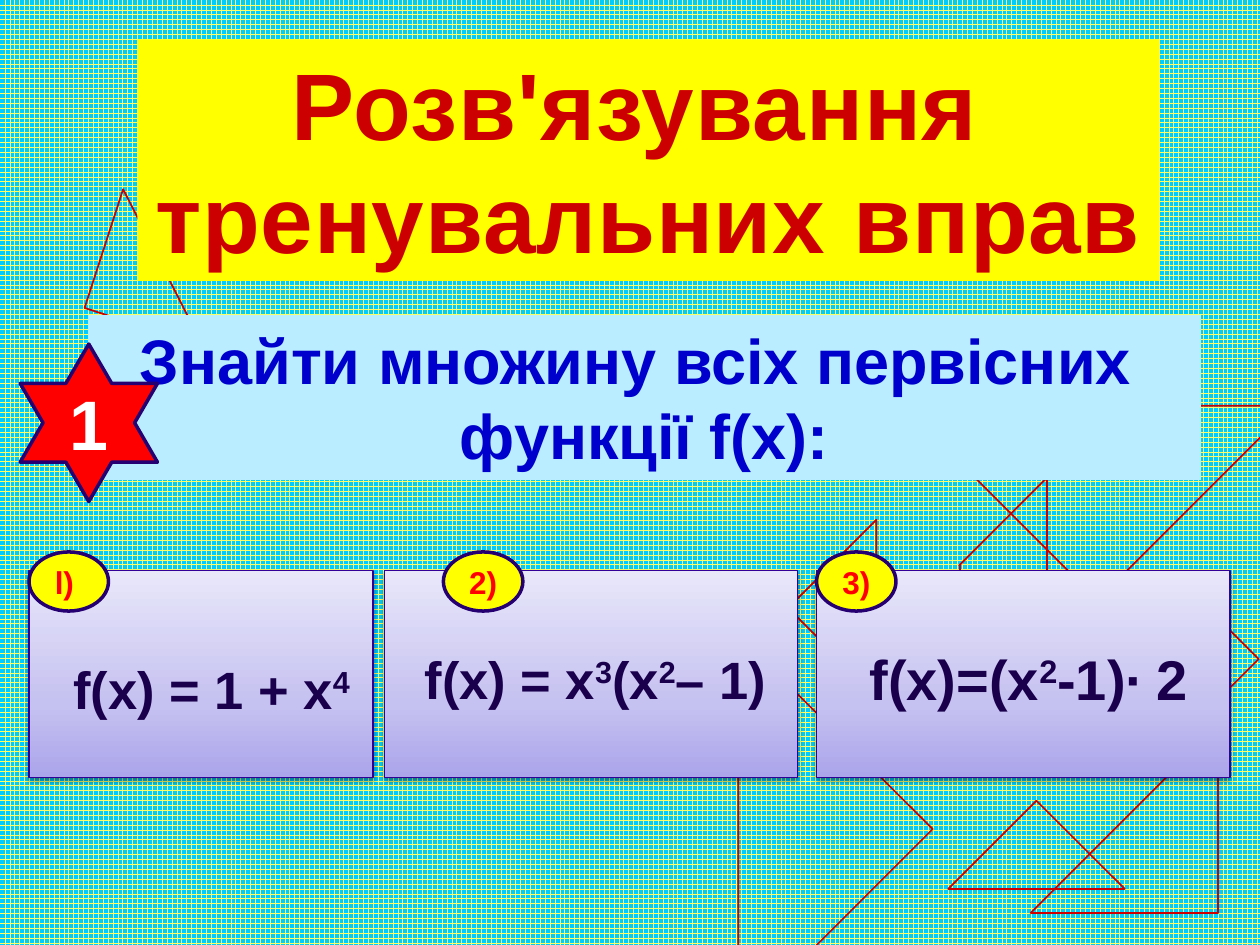
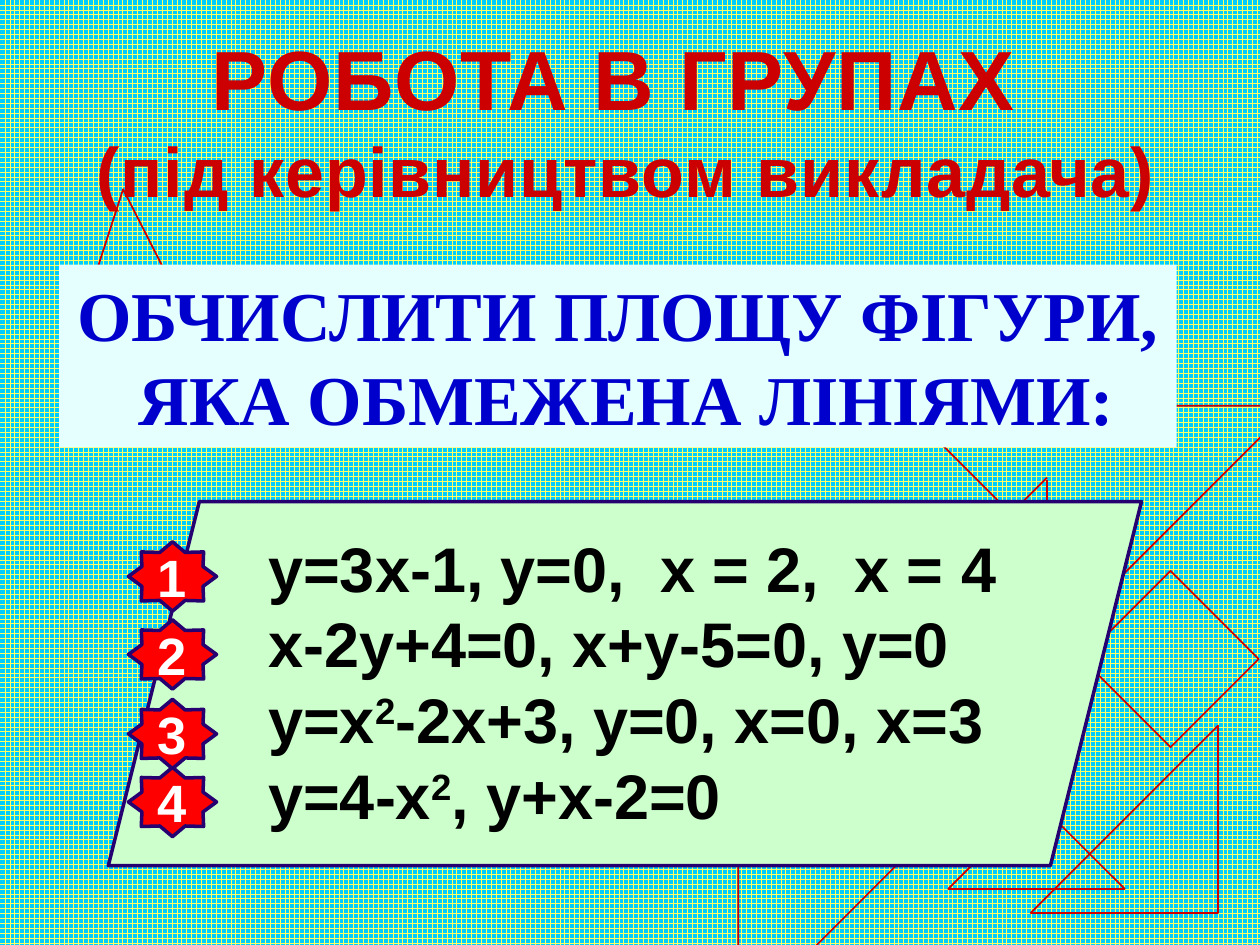
from copy import deepcopy

from lxml import etree
from pptx import Presentation
from pptx import util as u
from pptx.dml import color
from pptx.enum import dml, shapes, text
from pptx.oxml import ns

Pt = u.Pt
Kind = shapes.MSO_SHAPE
RED, NAVY, BLUE, INK = "CC0000", "260071", "0000CC", "1A004C"
MID, TOP = text.MSO_ANCHOR.MIDDLE, text.MSO_ANCHOR.TOP
LEFT, CENTER = text.PP_ALIGN.LEFT, text.PP_ALIGN.CENTER


def rgb(code):
    return color.RGBColor.from_string(code)


def add(slide, kind, box, fill=None, line=None, width=2, rows=(), ink=RED, sizes=(36,),
        face="Arial", anchor=MID, align=CENTER, wrap=True, spc=0):
    """Add a shape, or a text box if kind is None; ^ raises the next character."""
    box = [Pt(v) for v in box]
    if kind is None:
        item = slide.shapes.add_textbox(*box)
    else:
        item = slide.shapes.add_shape(kind, *box)
        item.shadow.inherit = False
        if fill:
            item.fill.solid()
            item.fill.fore_color.rgb = rgb(fill)
        else:
            item.fill.background()
        if line:
            item.line.color.rgb = rgb(line)
            item.line.width = Pt(width)
        else:
            item.line.fill.background()
    frame = item.text_frame
    frame.word_wrap, frame.vertical_anchor = wrap, anchor
    for i, row in enumerate(rows):
        para = frame.paragraphs[0] if i == 0 else frame.add_paragraph()
        para.alignment = align
        head, *rest = row.split("^")
        bits = [(head, False)]
        for bit in rest:
            bits += [(bit[0], True), (bit[1:], False)]
        look = {"name": face, "size": Pt(sizes[min(i, len(sizes) - 1)]), "bold": True}
        for words, high in bits:
            if not words:
                continue
            run = para.add_run()
            run.text = words
            for key, val in look.items():
                setattr(run.font, key, val)
            run.font.color.rgb = rgb(ink)
            props = run._r.get_or_add_rPr()
            if high:
                props.set("baseline", "30000")
            if spc:
                props.set("spc", str(spc))
    return item


prs = Presentation()
prs.slide_width, prs.slide_height = Pt(720), Pt(540)

# Shared background: grid pattern and geometric outlines
outlines = [  # kind, left, top, side, turn
    (Kind.RIGHT_TRIANGLE, 57.6, 117.4, 71.3, 18),
    (Kind.RIGHT_TRIANGLE, 556.6, 472.3, 71.3, 135),
    (Kind.RIGHT_TRIANGLE, 589, 414.7, 107, 270),
    (Kind.DIAMOND, 618.5, 326.2, 100.8, 0),
    (Kind.RIGHT_TRIANGLE, 343.4, 395.3, 157, 225),
    (Kind.RIGHT_TRIANGLE, 465.1, 311.8, 71.3, 45),
    (Kind.RIGHT_TRIANGLE, 548.6, 153.4, 157, 315),
]
edges = [
    (598.3, 274.3, 598.3, 372.2),
    (548.6, 322.6, 548.6, 422.6),
    (548.6, 421.9, 598.3, 372.2),
    (547.9, 323.3, 598.3, 272.9),
]
for _ in range(2):
    slide = prs.slides.add_slide(prs.slide_layouts[6])
    back = slide.background.fill
    back.patterned()
    back.pattern = dml.MSO_PATTERN.LARGE_GRID
    back.fore_color.rgb, back.back_color.rgb = rgb("FFFF66"), rgb("00CCFF")
    for kind, left, top, side, turn in outlines:
        add(slide, kind, (left, top, side, side), line=RED, width=1).rotation = turn
    for edge in edges:
        rod = slide.shapes.add_connector(shapes.MSO_CONNECTOR.STRAIGHT, *[Pt(v) for v in edge])
        rod.line.color.rgb, rod.line.width = rgb(RED), Pt(1)
        etree.SubElement(rod.element.spPr, ns.qn("a:effectLst"))
drill, group = prs.slides

# Slide 1: training exercises
add(drill, Kind.RECTANGLE, (78.5, 22.5, 584, 138), "FFFF00", anchor=TOP, wrap=False, spc=50,
    sizes=(54,), rows=("Розв'язування ", "тренувальних вправ"))
add(drill, Kind.RECTANGLE, (50.4, 180, 635.8, 94.3), "B9EDFF", anchor=TOP, ink=BLUE,
    rows=("Знайти множину всіх первісних ", "функції f(x):"))

stops = [(0, "ABA5EB"), (0.35, "C5C1F0"), (1, "E8E7FA")]
cards = [  # card left, width; badge left, label; formula box, size, formula
    (16.6, 196.6, 16.6, "l) ", (33.8, 371.5, 174.2, 43.9), 30, "f(x) = 1 + x^4"),
    (219.6, 236.2, 253.4, "2) ", (230.4, 365.8, 219.6, 43.9), 30, "f(x) = x^3(x^2– 1)"),
    (466.6, 236.2, 466.6, "3) ", (478.1, 364.3, 219.6, 46.1), 32, "f(x)=(x^2-1)∙ 2"),
]
for left, width, spot, label, box, size, rule in cards:
    card = add(drill, Kind.RECTANGLE, (left, 326.2, width, 118.1), "C5C1F0", "320096", 0.75)
    card.fill.gradient()
    card.fill.gradient_angle = 90
    marks = card.element.spPr.find(ns.qn("a:gradFill")).find(ns.qn("a:gsLst"))
    marks.append(deepcopy(marks[-1]))
    for stop, (place, code) in zip(card.fill.gradient_stops, stops):
        stop.position, stop.color.rgb = place, rgb(code)
    shade = etree.SubElement(card.element.spPr.find(ns.qn("a:effectLst")), ns.qn("a:outerShdw"),
                             blurRad=str(Pt(3.1)), dist=str(Pt(1.6)), dir="5400000", rotWithShape="0")
    tint = etree.SubElement(shade, ns.qn("a:srgbClr"), val="000000")
    etree.SubElement(tint, ns.qn("a:alpha"), val="38000")
    add(drill, Kind.OVAL, (spot, 315.4, 45.4, 33.8), "FFFF00", NAVY,
        rows=(label,), ink="FF0000", sizes=(18,))
    add(drill, None, box, rows=(rule,), ink=INK, sizes=(size,))
add(drill, Kind.STAR_6_POINT, (11.5, 196.6, 78.5, 90), "FF0000", NAVY,
    rows=("1",), ink="FFFFFF", sizes=(40,))

# Slide 2: group work
add(group, None, (44.6, 11.5, 626.4, 113.8), anchor=TOP, wrap=False, spc=50, sizes=(48, 40),
    rows=("РОБОТА В ГРУПАХ ", "(під керівництвом викладача)"))
add(group, Kind.RECTANGLE, (33.8, 151.2, 638.6, 104.4), "E5FFFF", wrap=False, ink=BLUE,
    sizes=(40,), face="Times New Roman",
    rows=("ОБЧИСЛИТИ ПЛОЩУ ФІГУРИ,", " ЯКА ОБМЕЖЕНА ЛІНІЯМИ:"))
add(group, Kind.PARALLELOGRAM, (61.9, 286.6, 590.4, 208.1), "CCFFCC", NAVY)
tasks = add(group, None, (146.2, 298.1, 455.8, 181.4), ink="000000", align=LEFT, rows=(
    "у=3х-1, у=0,\tх = 2,\tх = 4",
    "х-2у+4=0, х+у-5=0, у=0",
    "у=х^2-2х+3, у=0, х=0, х=3",
    "у=4-х^2, у+х-2=0",
))
tabs = etree.SubElement(tasks.text_frame.paragraphs[0]._p.get_or_add_pPr(), ns.qn("a:tabLst"))
for pos in (224, 335):
    etree.SubElement(tabs, ns.qn("a:tab"), pos=str(Pt(pos)), algn="l")
for num, top in enumerate((309.6, 354.2, 399.6, 438.5), 1):
    add(group, Kind.STAR_8_POINT, (73.4, top, 50.4, 39.6), "FF0000", NAVY,
        rows=(str(num),), ink="FFFFFF", sizes=(30,))

prs.save("out.pptx")
